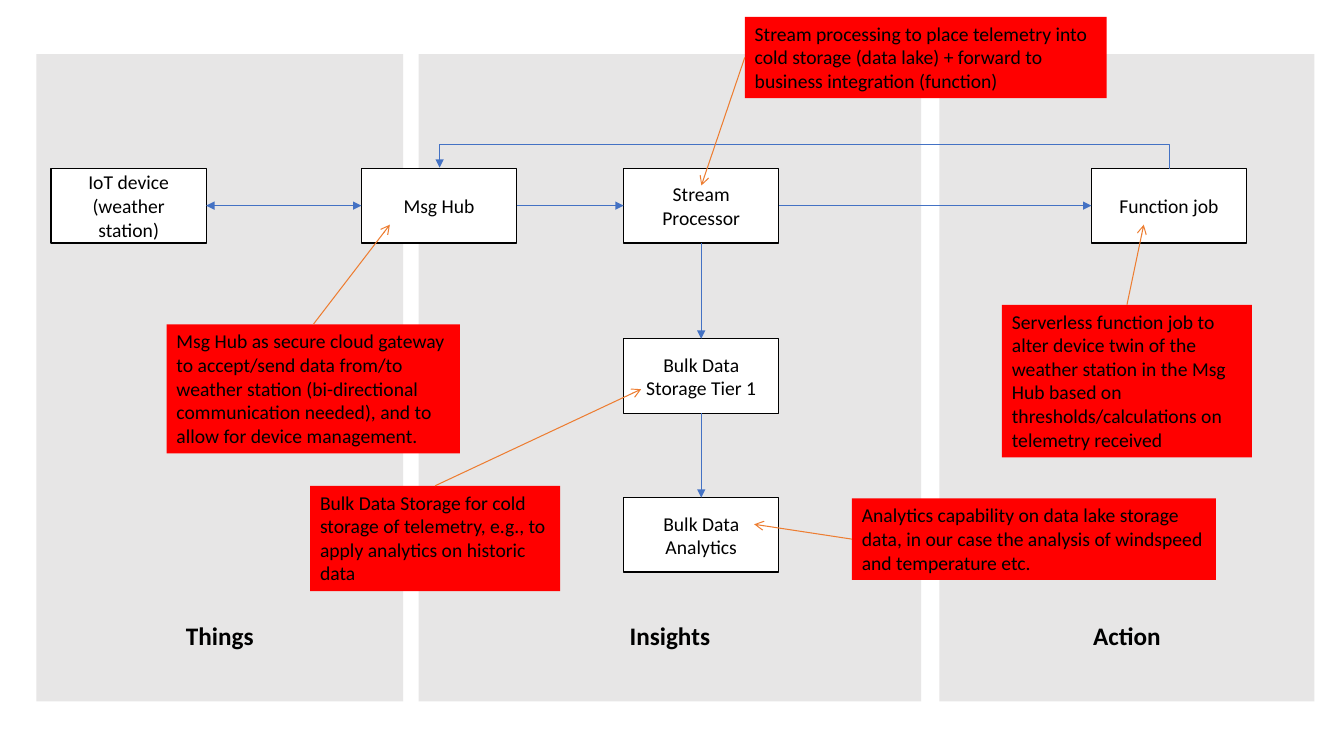
from lxml import etree
from pptx import Presentation
from pptx.dml.color import RGBColor
from pptx.enum.shapes import MSO_CONNECTOR, MSO_SHAPE
from pptx.enum.text import MSO_ANCHOR, PP_ALIGN
from pptx.oxml.ns import qn
from pptx.util import Pt

GREY = RGBColor(0xE7, 0xE6, 0xE6)
WHITE = RGBColor(0xFF, 0xFF, 0xFF)
BLACK = RGBColor(0, 0, 0)
RED = RGBColor(0xFF, 0, 0)
BLUE = RGBColor(0x44, 0x72, 0xC4)
ORANGE = RGBColor(0xED, 0x7D, 0x31)
STRAIGHT, ELBOW = MSO_CONNECTOR.STRAIGHT, MSO_CONNECTOR.ELBOW
RECTANGLE = MSO_SHAPE.RECTANGLE
TOP, MIDDLE, BOTTOM = MSO_ANCHOR.TOP, MSO_ANCHOR.MIDDLE, MSO_ANCHOR.BOTTOM
LEFT, CENTER = PP_ALIGN.LEFT, PP_ALIGN.CENTER
FONT = "Calibri"

# Connection sites of a rectangle
SITE_TOP, SITE_LEFT, SITE_BOTTOM, SITE_RIGHT = range(4)

PANEL_TOP, PANEL_HEIGHT = 38.7, 462.3
PANELS = [("Things", 26, 262), ("Insights", 299, 359), ("Action", 671, 268)]

NODE_WIDTH, NODE_HEIGHT = 110.8, 53.2
NODES = {
    "device": ("IoT device (weather station)", 36.5, 120.3),
    "hub": ("Msg Hub", 258.2, 120.3),
    "stream": ("Stream Processor", 445.5, 120.3),
    "storage": ("Bulk Data Storage Tier 1", 445.5, 242),
    "analytics": ("Bulk Data Analytics", 445.5, 355.5),
    "function": ("Function job", 779.6, 120.3),
}
FLOWS = [
    ("hub", SITE_RIGHT, "stream", SITE_LEFT, False),
    ("device", SITE_RIGHT, "hub", SITE_LEFT, True),
    ("stream", SITE_BOTTOM, "storage", SITE_TOP, False),
    ("stream", SITE_RIGHT, "function", SITE_LEFT, False),
    ("storage", SITE_BOTTOM, "analytics", SITE_TOP, False),
]
# Text, box, site where the pointer starts, point it ends at
CALLOUTS = [
    ("Stream processing to place telemetry into cold storage (data lake) + "
     "forward to business integration (function)",
     (532, 12, 258.5, 58.2), SITE_LEFT, (501, 132.5)),
    ("Serverless function job to alter device twin of the weather station in "
     "the Msg Hub based on thresholds/calculations on telemetry received",
     (715.7, 217.7, 178.6, 109), SITE_TOP, (817, 160.5)),
    ("Msg Hub as secure cloud gateway to accept/send data from/to weather "
     "station (bi-directional communication needed), and to allow for device "
     "management.",
     (119, 231.7, 209.6, 92.2), SITE_TOP, (278.5, 160.5)),
    ("Bulk Data Storage for cold storage of telemetry, e.g., to apply "
     "analytics on historic data",
     (221.5, 347, 178.6, 75.2), SITE_TOP, (458, 278)),
    ("Analytics capability on data lake storage data, in our case the "
     "analysis of windspeed and temperature etc.",
     (608.5, 356, 260, 58.2), SITE_LEFT, (538.7, 374.5)),
]


def add_box(slide, box, text, fill, size, anchor, alignment):
    """Add a filled rectangle with one paragraph and no outline."""
    shape = slide.shapes.add_shape(RECTANGLE, *map(Pt, box))
    shape.shadow.inherit = False
    shape.fill.solid()
    shape.fill.fore_color.rgb = fill
    shape.line.fill.background()
    frame = shape.text_frame
    frame.word_wrap = True
    frame.vertical_anchor = anchor
    paragraph = frame.paragraphs[0]
    paragraph.text = text
    paragraph.alignment = alignment
    paragraph.font.name = FONT
    paragraph.font.size = Pt(size)
    paragraph.font.color.rgb = BLACK
    return shape


def add_arrow(slide, kind, start, end, color, width, head, both=False):
    """Add a connector with an arrowhead at its end, or at both ends."""
    connector = slide.shapes.add_connector(kind, *map(Pt, (*start, *end)))
    connector.line.color.rgb = color
    connector.line.width = Pt(width)
    line = connector.line._get_or_add_ln()
    for tag in ("a:headEnd", "a:tailEnd") if both else ("a:tailEnd",):
        etree.SubElement(line, qn(tag), type=head)
    etree.SubElement(connector._element.spPr, qn("a:effectLst"))
    return connector


def add_panel(slide, box, title):
    """Add a grey background panel with its title near the bottom."""
    panel = add_box(slide, box, title, GREY, 18, BOTTOM, CENTER)
    panel.text_frame.margin_bottom = Pt(36.5)
    panel.text_frame.paragraphs[0].font.bold = True


def add_node(slide, box, label):
    """Add a white outlined component and return it."""
    node = add_box(slide, box, label, WHITE, 14, MIDDLE, CENTER)
    node.line.color.rgb = BLACK
    node.line.width = Pt(1)
    return node


def add_flow(slide, source, source_site, target, target_site, both):
    """Join two components with a straight blue arrow."""
    arrow = add_arrow(slide, STRAIGHT, (0, 0), (0, 0), BLUE, 0.5, "triangle", both)
    arrow.begin_connect(source, source_site)
    arrow.end_connect(target, target_site)


def add_feedback(slide, box):
    """Add the bent arrow that runs along the top of the box, right to left."""
    left, top, width, height = box
    middle_x, middle_y = left + width / 2, top + height
    # Drawn upright, one point wide, then turned a quarter to the left
    arrow = add_arrow(slide, ELBOW, (middle_x - 0.5, middle_y + width / 2),
                      (middle_x + 0.5, middle_y - width / 2), BLUE, 0.5, "triangle")
    arrow.rotation = 270
    geometry = arrow._element.spPr.find(qn("a:prstGeom"))
    values = geometry.find(qn("a:avLst"))
    etree.SubElement(values, qn("a:gd"), name="adj1",
                     fmla=f"val {round(height * 100000)}")


def add_callout(slide, box, text, site, target):
    """Add a red note and the orange arrow from it to the target point."""
    note = add_box(slide, box, text, RED, 14, TOP, LEFT)
    pointer = add_arrow(slide, STRAIGHT, (0, 0), target, ORANGE, 0.75, "arrow")
    pointer.begin_connect(note, site)


def build_slide(slide):
    """Build the architecture diagram from back to front."""
    for title, left, width in PANELS:
        add_panel(slide, (left, PANEL_TOP, width, PANEL_HEIGHT), title)
    nodes = {
        name: add_node(slide, (left, top, NODE_WIDTH, NODE_HEIGHT), label)
        for name, (label, left, top) in NODES.items()
    }
    for source, source_site, target, target_site, both in FLOWS:
        add_flow(slide, nodes[source], source_site, nodes[target], target_site, both)
    add_feedback(slide, (314, 102.8, 521.5, 17.5))
    for text, box, site, target in CALLOUTS:
        add_callout(slide, box, text, site, target)


presentation = Presentation()
presentation.slide_width, presentation.slide_height = Pt(960), Pt(540)
build_slide(presentation.slides.add_slide(presentation.slide_layouts[6]))
presentation.save("out.pptx")
